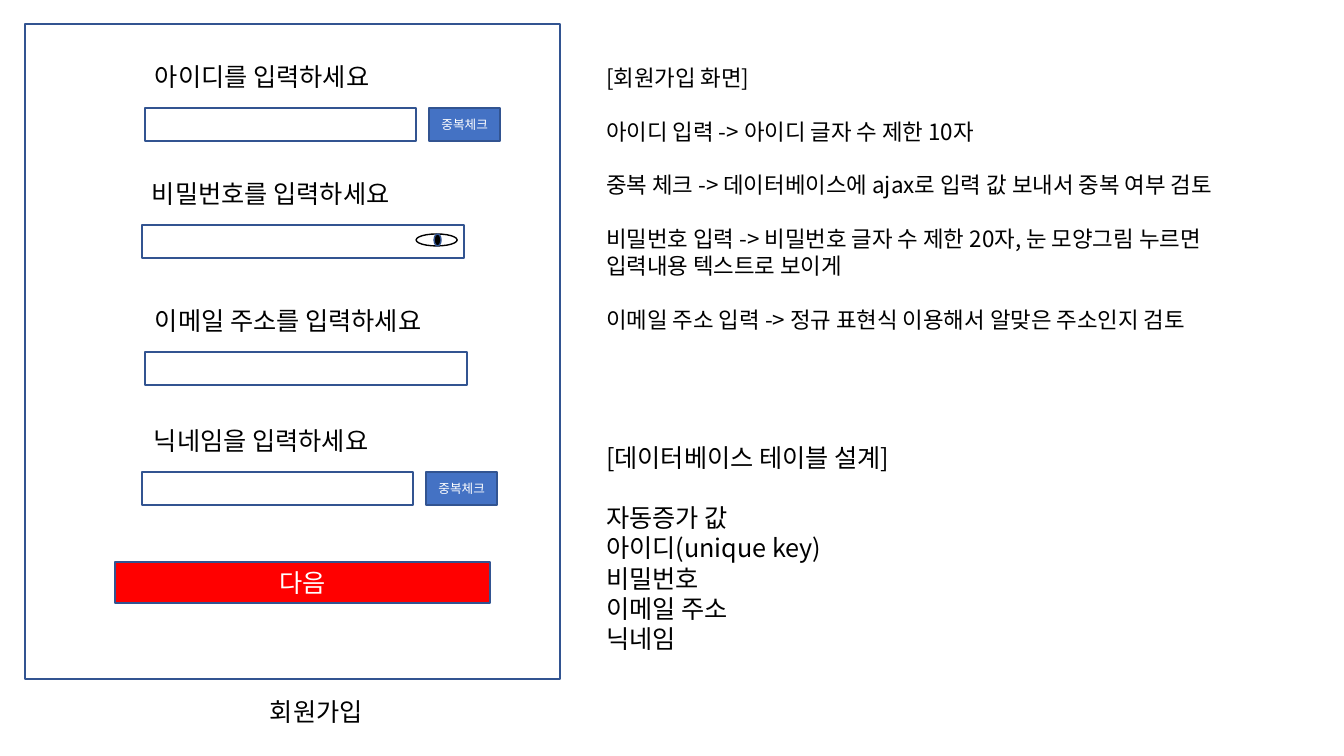
import pptx
import pptx.util
import pptx.dml.color
import pptx.enum.shapes
import pptx.enum.text
import pptx.oxml.ns
import lxml.etree

# Content: label, label left, input left, top, width, has a duplicate check
FIELDS = [
    ("아이디를 입력하세요", 145, 145, 108, 271, True),
    ("비밀번호를 입력하세요", 142, 142, 225, 322, False),
    ("이메일 주소를 입력하세요", 145, 145, 352, 322, False),
    ("닉네임을 입력하세요", 144, 142, 472, 271, True),
]
CHECK = "중복체크"
NEXT = "다음"
CAPTION = "회원가입"
SCREEN_NOTES = [
    "[회원가입 화면]",
    "아이디 입력 -> 아이디 글자 수 제한 10자",
    "중복 체크 -> 데이터베이스에 ajax로 입력 값 보내서 중복 여부 검토",
    "비밀번호 입력 -> 비밀번호 글자 수 제한 20자, 눈 모양그림 누르면\v입력내용 텍스트로 보이게",
    "이메일 주소 입력 -> 정규 표현식 이용해서 알맞은 주소인지 검토",
]
TABLE_DESIGN = [
    "[데이터베이스 테이블 설계]",
    "자동증가 값",
    "아이디(unique key)",
    "비밀번호",
    "이메일 주소",
    "닉네임",
]

FONT = "Noto Sans CJK KR"
WHITE = pptx.dml.color.RGBColor(0xFF, 0xFF, 0xFF)
BLACK = pptx.dml.color.RGBColor(0, 0, 0)
RED = pptx.dml.color.RGBColor(0xFF, 0, 0)
BLUE = pptx.dml.color.RGBColor(0x44, 0x72, 0xC4)
NAVY = pptx.dml.color.RGBColor(0x32, 0x54, 0x91)
LEADING = 1.2
INPUT_HEIGHT, LABEL_HEIGHT, LABEL_RISE = 33, 40, 52
CHECK_WIDTH, CHECK_GAP = 71, 13

RECT = pptx.enum.shapes.MSO_SHAPE.RECTANGLE
OVAL = pptx.enum.shapes.MSO_SHAPE.OVAL
CENTER = pptx.enum.text.PP_ALIGN.CENTER
LEFT = pptx.enum.text.PP_ALIGN.LEFT

deck = pptx.Presentation()
deck.slide_width = pptx.util.Inches(13.33)
deck.slide_height = pptx.util.Inches(7.5)
slide = deck.slides.add_slide(deck.slide_layouts[6])


def px(*lengths):
    return [round(length * 914400 / 100.8) for length in lengths]


def write(frame, lines, size, color, align=LEFT, gaps=()):
    """Fill a frame; gaps holds the lines that follow one line of space."""
    frame.text = "\n".join(lines)
    for index, paragraph in enumerate(frame.paragraphs):
        paragraph.alignment = align
        paragraph.line_spacing = pptx.util.Pt(size * LEADING)
        if index in gaps:
            paragraph.space_before = pptx.util.Pt(size * LEADING)
        for run in paragraph.runs:
            run.font.size = pptx.util.Pt(size)
            run.font.name = FONT
            run.font.color.rgb = color
            east_asian = lxml.etree.SubElement(
                run.font._element, pptx.oxml.ns.qn("a:ea"))
            east_asian.set("typeface", FONT)


def add_text(box, lines, size, wrap=True, gaps=()):
    frame = slide.shapes.add_textbox(*px(*box)).text_frame
    frame.word_wrap = wrap
    write(frame, lines, size, BLACK, gaps=gaps)


def add_part(box, fill=WHITE, line=NAVY, preset=RECT, text=None, size=18):
    part = slide.shapes.add_shape(preset, *px(*box))
    part.shadow.inherit = False
    part.fill.solid()
    part.fill.fore_color.rgb = fill
    part.line.color.rgb = line
    part.line.width = pptx.util.Pt(1)
    if text:
        part.text_frame.vertical_anchor = pptx.enum.text.MSO_ANCHOR.MIDDLE
        write(part.text_frame, [text], size, WHITE, CENTER)


# Sign-up screen
add_part((25, 24, 535, 655))
for label, label_left, left, top, width, has_check in FIELDS:
    add_text((label_left, top - LABEL_RISE, 334, LABEL_HEIGHT), [label], 18)
    add_part((left, top, width, INPUT_HEIGHT))
    if has_check:
        add_part((left + width + CHECK_GAP, top, CHECK_WIDTH, INPUT_HEIGHT),
                 BLUE, text=CHECK, size=9)
add_part((115, 562, 375, 41), RED, text=NEXT)
add_text((260, 691, 122, LABEL_HEIGHT), [CAPTION], 18, wrap=False)

# Eye icon in the password field
add_part((416, 234, 41, 12), line=BLACK, preset=OVAL)
add_part((434, 234, 7, 12), BLACK, preset=OVAL)

# Notes beside the screen
add_text((596, 59, 710, 281), SCREEN_NOTES, 16, gaps=range(1, len(SCREEN_NOTES)))
add_text((596, 437, 657, 254), TABLE_DESIGN, 18, gaps=(1,))

deck.save("out.pptx")
